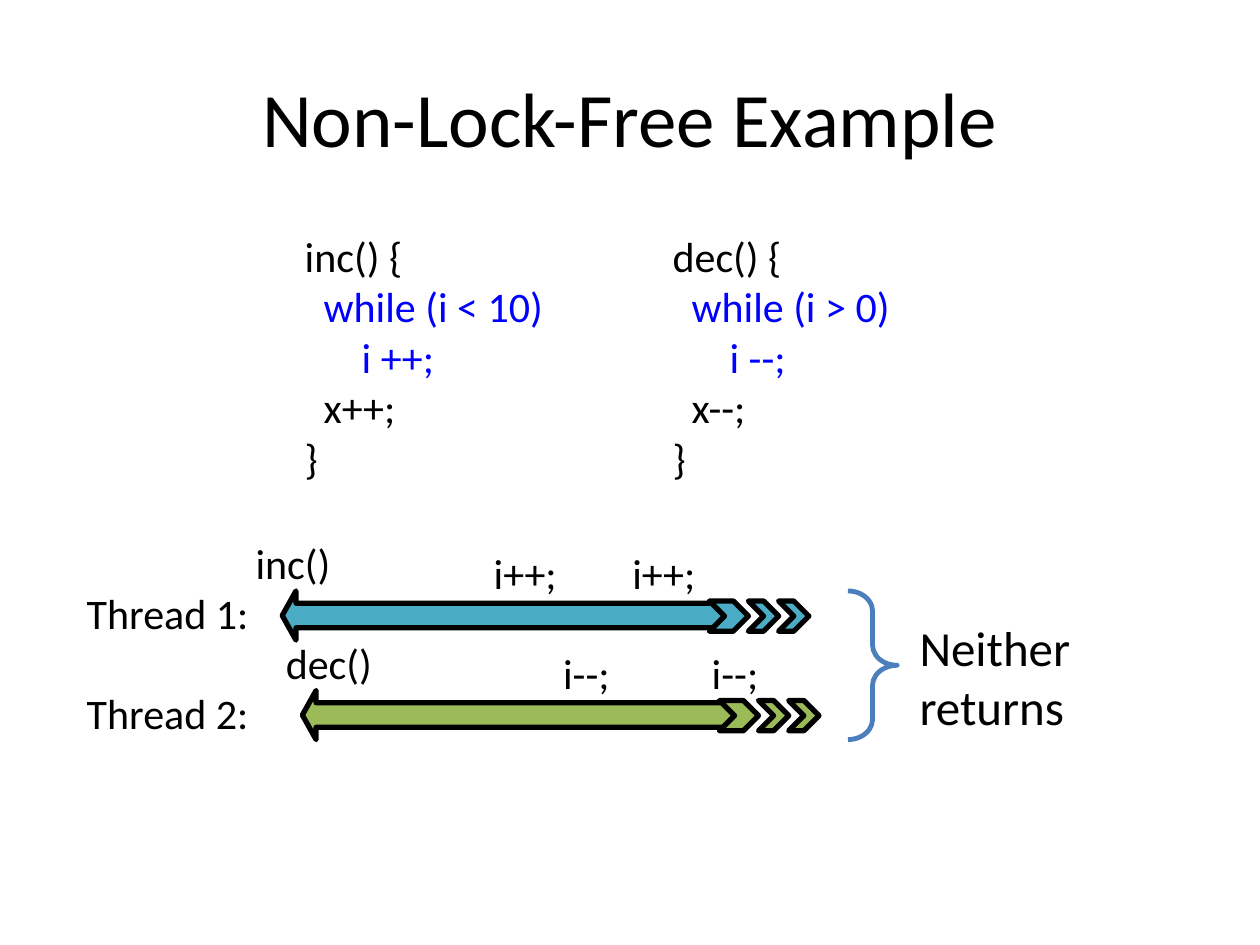
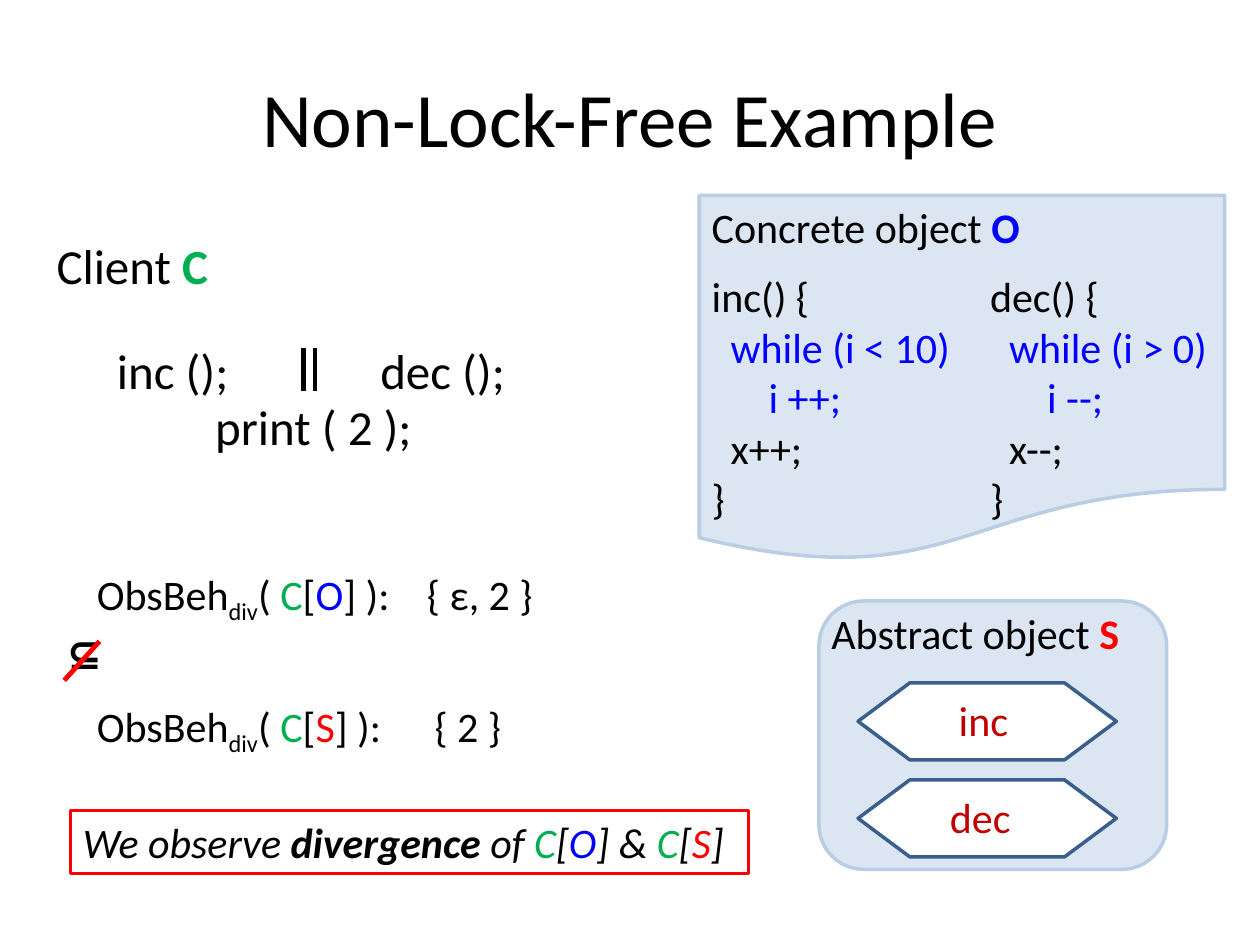
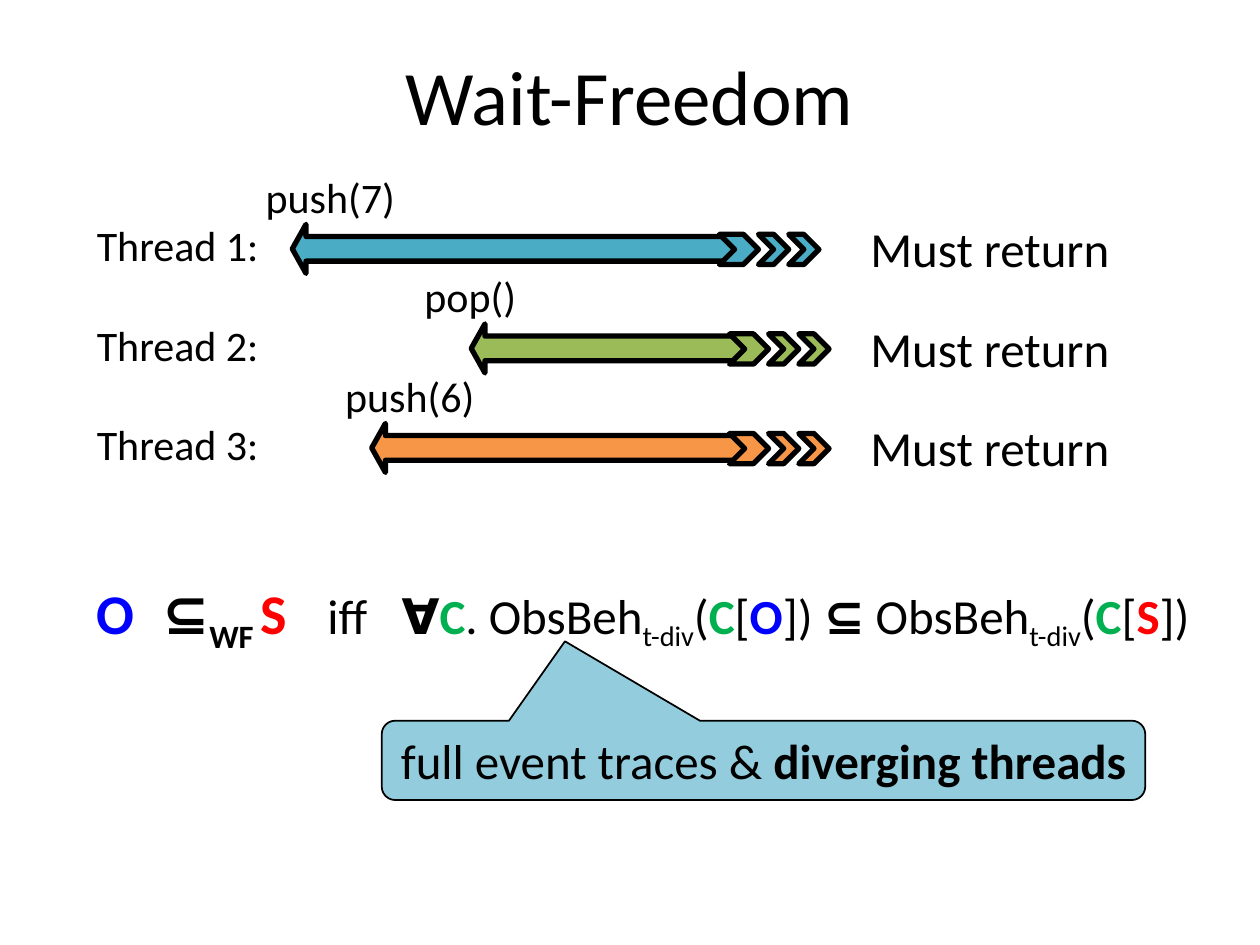
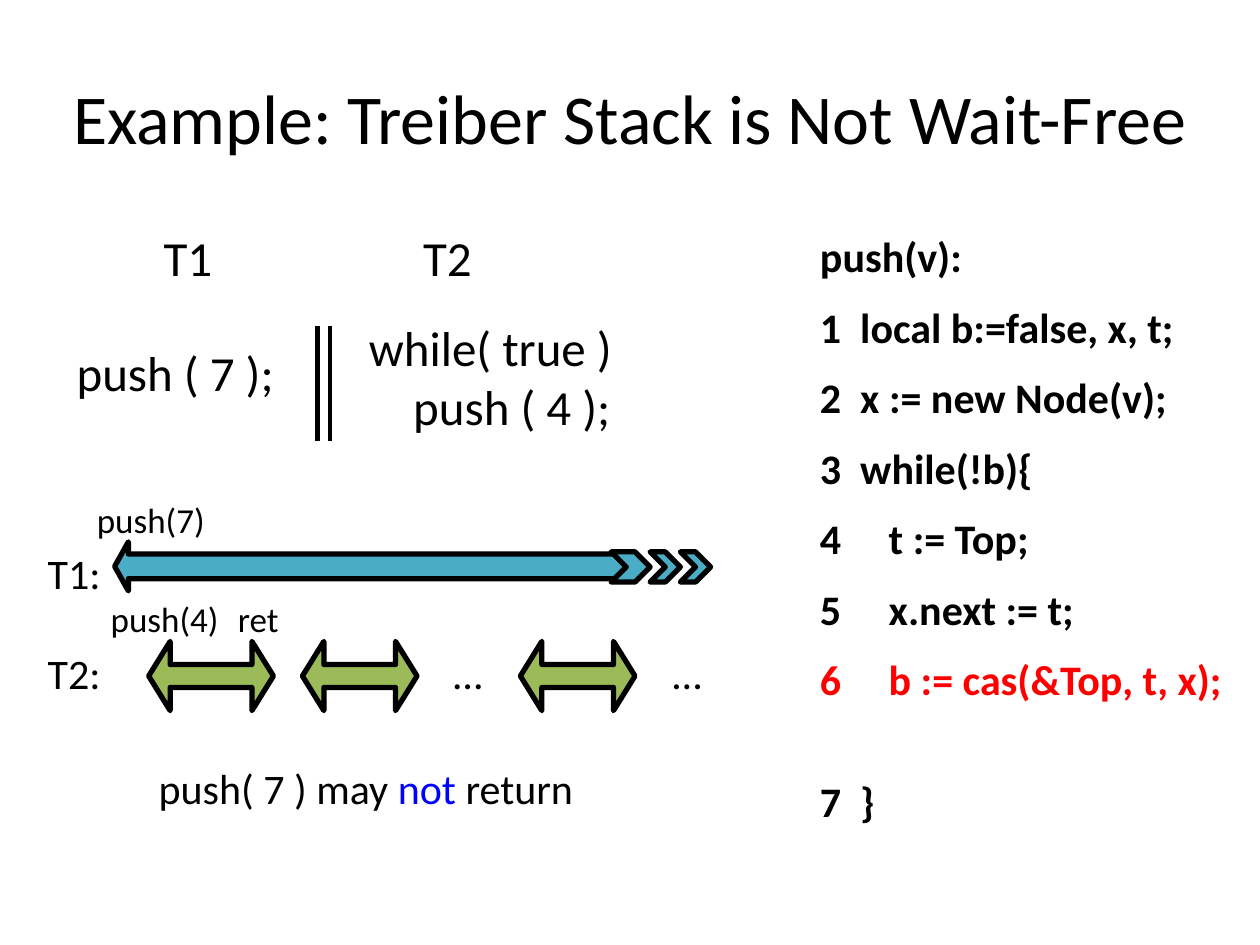
from dataclasses import dataclass
from typing import Optional

from lxml import etree
from pptx import Presentation
from pptx import util as u
from pptx.dml.color import RGBColor
from pptx.enum import shapes, text
from pptx.oxml import ns

BLACK = RGBColor(0x00, 0x00, 0x00)
WHITE = RGBColor(0xFF, 0xFF, 0xFF)
RED = RGBColor(0xFF, 0x00, 0x00)
BLUE = RGBColor(0x00, 0x00, 0xFF)
GREEN = RGBColor(0x00, 0xB0, 0x50)
DARK_RED = RGBColor(0xC0, 0x00, 0x00)
TEAL = RGBColor(0x4B, 0xAC, 0xC6)
OLIVE = RGBColor(0x9B, 0xBB, 0x59)
ORANGE = RGBColor(0xF7, 0x96, 0x46)
PALE_TEAL = RGBColor(0x93, 0xCD, 0xDD)
PALE_BLUE = RGBColor(0xDC, 0xE6, 0xF2)
PANEL_EDGE = RGBColor(0xB9, 0xCD, 0xE5)
BRACE_BLUE = RGBColor(0x4B, 0x7E, 0xBC)
HEX_EDGE = RGBColor(0x3A, 0x5F, 0x8C)

FONT = "Calibri"
COLUMNS, ROWS = 100, 75
SHAPE = shapes.MSO_SHAPE
LEFT, CENTER = text.PP_ALIGN.LEFT, text.PP_ALIGN.CENTER
TOP, MIDDLE = text.MSO_ANCHOR.TOP, text.MSO_ANCHOR.MIDDLE


@dataclass
class Span:
    words: str
    color: Optional[RGBColor] = None
    bold: Optional[bool] = None
    size: Optional[float] = None
    lowered: bool = False

    def style(self, font):
        if self.color is not None:
            font.color.rgb = self.color
        if self.bold is not None:
            font.bold = self.bold
        if self.size is not None:
            font.size = u.Pt(self.size)


def loop_code(name, test, step, after):
    return (name + "() {", Span(f"  while ({test})", BLUE),
            Span(f"      {step};", BLUE), f"  {after};", "}")


def applied(target, color, bold=None):
    return (Span("C", GREEN, bold), "[", Span(target, color, bold), "]")


INC_CODE = loop_code("inc", "i < 10", "i ++", "x++")
DEC_CODE = loop_code("dec", "i > 0", "i --", "x--")


class Deck:
    def __init__(self):
        self.show = Presentation()
        self.show.slide_width = u.Inches(10)
        self.show.slide_height = u.Inches(7.5)
        self.column = self.show.slide_width / COLUMNS
        self.row = self.show.slide_height / ROWS
        self.slide = None

    def place(self, left, top, width, height):
        return (round(left * self.column), round(top * self.row),
                round(width * self.column), round(height * self.row))

    def page(self, title, size=44, top=3, left=5):
        self.slide = self.show.slides.add_slide(self.show.slide_layouts[6])
        self.label((left, top, COLUMNS - 2 * left, 12.5), title,
                   size=size, align=CENTER, anchor=MIDDLE)

    def fill_text(self, frame, lines, size=24, align=LEFT, anchor=TOP,
                  bold=None, italic=None, gaps=(), tabs=()):
        frame.word_wrap = True
        frame.vertical_anchor = anchor
        for index, line in enumerate(lines):
            paragraph = frame.paragraphs[0] if index == 0 else frame.add_paragraph()
            paragraph.alignment = align
            if index and gaps:
                paragraph.space_before = u.Pt(gaps[index - 1])
            if tabs:
                stops = etree.SubElement(paragraph._p.get_or_add_pPr(), ns.qn("a:tabLst"))
                for stop in tabs:
                    etree.SubElement(stops, ns.qn("a:tab"),
                                     pos=str(round(stop * self.column)), algn="l")
            font = paragraph.font
            font.name, font.size = FONT, u.Pt(size)
            font.bold, font.italic = bold, italic
            font.color.rgb = BLACK
            spans = line if isinstance(line, tuple) else (line,)
            for part in spans:
                span = Span(part) if isinstance(part, str) else part
                run = paragraph.add_run()
                run.text = span.words
                span.style(font if len(spans) == 1 else run.font)
                if span.lowered:
                    run._r.get_or_add_rPr().set("baseline", "-25000")

    def label(self, area, *lines, **style):
        box = self.slide.shapes.add_textbox(*self.place(*area))
        self.fill_text(box.text_frame, lines, **style)

    def shape(self, kind, area, fill, edge, weight, adjust=(), lines=(), **style):
        figure = self.slide.shapes.add_shape(kind, *self.place(*area))
        figure.shadow.inherit = False
        if fill is None:
            figure.fill.background()
        else:
            figure.fill.solid()
            figure.fill.fore_color.rgb = fill
        figure.line.color.rgb = edge
        figure.line.width = u.Pt(weight)
        for index, amount in enumerate(adjust):
            figure.adjustments[index] = amount
        if lines:
            self.fill_text(figure.text_frame, lines, **style)

    def line(self, start, end, color=BLACK):
        x1, y1, x2, y2 = self.place(*start, *end)
        stroke = self.slide.shapes.add_connector(
            shapes.MSO_CONNECTOR.STRAIGHT, x1, y1, x2, y2)
        stroke.line.color.rgb = color
        stroke.line.width = u.Pt(2.75)
        etree.SubElement(stroke._element.spPr, ns.qn("a:effectLst"))

    def parallel_bars(self, left, gap, top, bottom):
        for x in (left, left + gap):
            self.line((x, top), (x, bottom))

    def endless_call(self, left, right, top, color):
        self.shape(SHAPE.LEFT_ARROW, (left, top, right - left, 3.9),
                   color, BLACK, 3, (0.5, 0.28))
        x = right - 1.5
        for width in (3.1, 2.4, 2.4):
            self.shape(SHAPE.CHEVRON, (x, top + 0.8, width, 2.4), color, BLACK, 3)
            x += width


def non_lock_free_threads(deck):
    deck.page("Non-Lock-Free Example")
    deck.label((23.2, 17.8, 22, 21.2), *INC_CODE)
    deck.label((52.4, 17.8, 19.7, 21.2), *DEC_CODE)
    deck.shape(SHAPE.RIGHT_BRACE, (67.3, 46.9, 3.9, 11.8), None,
               BRACE_BLUE, 2.75, (0.41, 0.5))
    deck.label((72, 48.5, 20, 10.4), "Neither returns", size=28)
    threads = (
        ("inc()", 19.3, 22.4, 57.8, TEAL, "i++;", (38.2, 49.2)),
        ("dec()", 21.7, 24, 58.6, OLIVE, "i--;", (43.7, 55.5)),
    )
    for index, (call, call_x, start, end, color, step, step_xs) in enumerate(threads):
        top = 46.9 + 7.9 * index
        deck.endless_call(start, end, top, color)
        deck.label((5.9, top - 0.75, 15, 5), f"Thread {index + 1}:")
        deck.label((call_x, top - 4.7, 9, 5), call)
        for x in step_xs:
            deck.label((x, top - 3.9, 7.1, 5), step)


def non_lock_free_behaviours(deck):
    deck.page("Non-Lock-Free Example")
    deck.shape(SHAPE.FLOWCHART_DOCUMENT, (55.5, 15.5, 41.7, 29.1),
               PALE_BLUE, PANEL_EDGE, 2)
    deck.label((55.5, 15.5, 27, 5), ("Concrete object ", Span("O", BLUE, True)))
    deck.label((55.5, 21, 22, 21.2), *INC_CODE)
    deck.label((77.6, 21, 19.7, 21.2), *DEC_CODE)

    deck.shape(SHAPE.ROUNDED_RECTANGLE, (65, 47.7, 27.6, 21.3),
               PALE_BLUE, PANEL_EDGE, 2)
    deck.label((65, 47.7, 25.1, 5), ("Abstract object ", Span("S", RED, True)))
    for top, operation, x in ((54.2, "inc", 75.1), (61.9, "dec", 74.4)):
        deck.shape(SHAPE.FLOWCHART_PREPARATION, (68.1, top, 20.5, 6.1),
                   WHITE, HEX_EDGE, 2)
        deck.label((x, top + 0.4, 7.9, 5), Span(operation, DARK_RED))

    deck.label((3.5, 18.2, 16.9, 5.7), ("Client ", Span("C", GREEN, True)), size=28)
    deck.label((8.3, 26.5, 14.3, 5.7), "inc ();", size=28)
    deck.label((29.2, 26.5, 16.3, 5.7), "dec ();", size=28)
    deck.parallel_bars(24.1, 0.9, 27.6, 31)
    deck.label((16.1, 31, 24.9, 5.7), "print ( 2 );", size=28)

    behaviours = ((44.6, "O", BLUE, "{ ε, 2 }", 32.9), (55.1, "S", RED, "{ 2 }", 33.5))
    for top, target, color, outcome, x in behaviours:
        deck.label((6.7, top, 26, 5), ("ObsBeh", Span("div", lowered=True), "( ",
                                       *applied(target, color), " ):"))
        deck.label((x, top, 17.9, 5), outcome)
    deck.label((4.3, 49.3, 5.5, 5), "⊆", bold=True)
    deck.line((7.9, 50.9), (5.1, 54), RED)

    deck.shape(SHAPE.RECTANGLE, (5.6, 64.3, 53.8, 5), None, RED, 1.75, italic=True,
               lines=(("We observe ", Span("divergence", bold=True), " of ",
                       *applied("O", BLUE), " & ", *applied("S", RED)),))


def wait_freedom(deck):
    deck.page("Wait-Freedom", top=1.3)
    threads = (
        ("push(7)", 20.1, 23.2, 58.6, TEAL),
        ("pop()", 32.7, 37.4, 59.4, OLIVE),
        ("push(6)", 26.4, 29.5, 59.4, ORANGE),
    )
    for index, (call, call_x, start, end, color) in enumerate(threads):
        top = 17.8 + 7.9 * index
        deck.endless_call(start, end, top, color)
        deck.label((6.7, top - 0.85, 15, 5), f"Thread {index + 1}:")
        deck.label((call_x, top - 4.7, 12.4, 5), call)
        deck.label((68.1, top - 0.95, 21.3, 5.7), "Must return", size=28)

    observed = ("ObsBeh", Span("t-div", lowered=True), "(")
    deck.label((6.7, 45.4, 90.6, 6.4), (
        Span("O\t", BLUE, True, 32), Span("⊆", bold=True, size=32),
        Span("WF ", bold=True, size=32, lowered=True), Span("S\t", RED, True, 32),
        "iff\t", Span("∀", bold=True), Span("C", GREEN, True), ". ",
        *observed, *applied("O", BLUE, True), ") ", Span("⊆ ", bold=True),
        *observed, *applied("S", RED, True), ")"), size=28, tabs=(5.2, 18.3, 24.2))
    deck.shape(SHAPE.ROUNDED_RECTANGULAR_CALLOUT, (30.3, 57.2, 60.6, 6.3),
               PALE_TEAL, BLACK, 1, (-0.26, -1.5, 0.17),
               lines=(("full event traces & ", Span("diverging threads", bold=True)),),
               size=28, align=CENTER, anchor=MIDDLE)


def treiber_stack(deck):
    deck.page("Example: Treiber Stack is Not Wait-Free", size=40, left=0)
    deck.label((64.1, 17.8, 35, 47.5),
               "push(v):",
               "1  local b:=false, x, t;",
               "2  x := new Node(v);",
               "3  while(!b){",
               "4     t := Top;",
               "5     x.next := t;",
               Span("6     b := cas(&Top, t, x);", RED),
               "7  }",
               bold=True, gaps=(11.5,) * 6 + (40.5,))

    for x, thread in ((12, "T1"), (32.6, "T2")):
        deck.label((x, 17.6, 6.5, 5.7), thread, size=28)
    deck.label((5.1, 26.7, 18.7, 5.7), "push ( 7 );", size=28)
    deck.parallel_bars(25.2, 1, 25.9, 35)
    deck.label((28.3, 24.7, 24.9, 10.4), "while( true )", "    push ( 4 );", size=28)

    for top, thread in ((43, "T1:"), (50.9, "T2:")):
        deck.label((2.8, top, 6.3, 5), thread)
    deck.endless_call(9.1, 50, 43, TEAL)
    for x, width in ((11.8, 9.9), (24, 9.1), (41.3, 9.1)):
        deck.shape(SHAPE.LEFT_RIGHT_ARROW, (x, 50.9, width, 5.5),
                   OLIVE, BLACK, 3, (0.33, 0.31))
    for x in (35, 52.4):
        deck.label((x, 50.9, 4.4, 5), "…")
    for x, top, event in ((6.7, 39.1, "push(7)"), (7.8, 46.9, "push(4)"),
                          (17.9, 46.9, "ret")):
        deck.label((x, top, 10.7, 4.4), event, size=20)
    deck.label((11.6, 60, 35.2, 5), ("push( 7 ) may ", Span("not ", BLUE), "return"))


def main():
    deck = Deck()
    for build in (non_lock_free_threads, non_lock_free_behaviours,
                  wait_freedom, treiber_stack):
        build(deck)
    deck.show.save("out.pptx")


if __name__ == "__main__":
    main()
